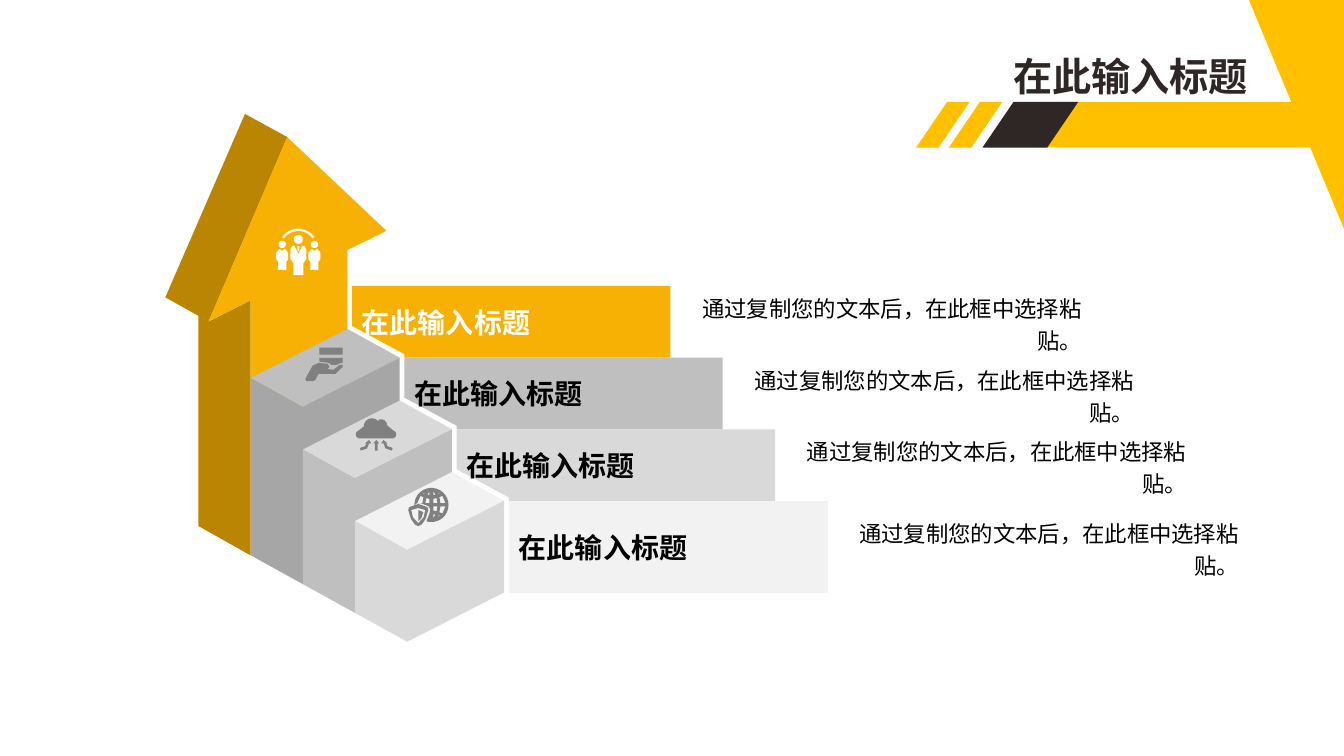
from dataclasses import dataclass
from math import cos, radians, sin

from pptx import Presentation
from pptx.dml.color import RGBColor
from pptx.enum.shapes import MSO_SHAPE
from pptx.enum.text import MSO_ANCHOR, PP_ALIGN
from pptx.util import Pt

RECT, SLANT = MSO_SHAPE.RECTANGLE, MSO_SHAPE.PARALLELOGRAM
WEDGE = MSO_SHAPE.RIGHT_TRIANGLE
MIDDLE, TOP = MSO_ANCHOR.MIDDLE, MSO_ANCHOR.TOP
LEFT, RIGHT = PP_ALIGN.LEFT, PP_ALIGN.RIGHT

INK = {"gold": "F6B104", "umber": "B98503", "amber": "FFC000", "coal": "2F2725",
       "dark": "A6A6A6", "mid": "BFBFBF", "light": "D9D9D9", "pale": "F2F2F2",
       "icon": "808080", "white": "FFFFFF", "black": "000000"}
FONT = "Arial"
TITLE = "在此输入标题"
BODY = "通过复制您的文本后，在此框中选择粘贴。"

Point = tuple[float, float]
Ring = list[Point]


@dataclass
class Banner:
    fill: str
    ink: str
    high: float


@dataclass
class Block:
    top: str
    side: str


@dataclass
class Part:
    kind: int
    left: float
    top: float
    wide: float
    high: float
    fill: str
    turn: float = 0


@dataclass
class Icon:
    left: float
    top: float
    fill: str
    rings: list[Ring]


def paint(shape, fill: str) -> None:
    shape.shadow.inherit = False
    shape.fill.solid()
    shape.fill.fore_color.rgb = RGBColor.from_string(INK[fill])
    shape.line.fill.background()


def draw(rings: list[Ring], fill: str, left: float = 0, top: float = 0):
    """Fill closed outlines; an inner outline cuts a hole."""
    pen = None
    for ring in rings:
        spots = [(Pt(left + x), Pt(top + y)) for x, y in ring]
        if pen is None:
            pen = slide.shapes.build_freeform(*spots[0])
        else:
            pen.move_to(*spots[0])
        pen.add_line_segments(spots[1:], close=True)
    shape = pen.convert_to_shape()
    paint(shape, fill)
    return shape


def write(shape, text: str, size: float, ink: str, align: int, bold: bool,
          anchor: int = MIDDLE, space: float = 1.0) -> None:
    frame = shape.text_frame
    frame.text = text
    frame.word_wrap = True
    frame.vertical_anchor = anchor
    para = frame.paragraphs[0]
    para.alignment = align
    para.line_spacing = space
    font = para.runs[0].font
    font.name, font.size, font.bold = FONT, Pt(size), bold
    font.color.rgb = RGBColor.from_string(INK[ink])


def label(left: float, top: float, wide: float, high: float):
    return slide.shapes.add_textbox(Pt(left), Pt(top), Pt(wide), Pt(high))


def arc(x: float, y: float, r: float, start: float, end: float) -> Ring:
    turns = [radians(start + (end - start) * i / 24) for i in range(25)]
    return [(x + r * cos(t), y + r * sin(t)) for t in turns]


def flip(ring: Ring, axis: float) -> Ring:
    return [(2 * axis - x, y) for x, y in reversed(ring)]


def drop(ring: Ring, axis: float) -> Ring:
    return [(x, 2 * axis - y) for x, y in ring]


def both(half: Ring, axis: float) -> Ring:
    return half + flip(half, axis)


deck = Presentation()
deck.slide_width, deck.slide_height = Pt(960), Pt(540)
slide = deck.slides.add_slide(deck.slide_layouts[6])

# Big arrow
draw([[(141.8, 375.8), (141.8, 225.4), (149, 229.7), (179, 214.6), (179, 396.7)]], "umber")
draw([[(175, 81.4), (205.2, 97.9), (149, 229.7), (118.1, 212.4)]], "umber")
draw([[(179, 396.7), (179, 214.6), (149, 229.7), (205.2, 97.9), (276.1, 164.9),
       (248.2, 178.6), (248.2, 361.4)]], "gold")

# Banners with their texts
STEP, RISE, WIDE = 37.4, 51.2, 227.5
BANNERS = [Banner("gold", "white", 51.2), Banner("mid", "black", 51.2),
           Banner("light", "black", 51.2), Banner("pale", "black", 65.5)]
for i, item in enumerate(BANNERS):
    x, y, high = 251.4 + STEP * i, 204.3 + RISE * i, item.high
    edge = [(x, y + 28.5), (x + STEP, y + 48.7), (x + STEP, y + high)]
    if i == len(BANNERS) - 1:
        edge = [(x, y + high)]
    shape = draw([[(x + WIDE, y + high), (x + WIDE, y), (x, y)] + edge], item.fill)
    write(shape, TITLE, 20, item.ink, LEFT, True)
    note = label(x + WIDE, y + high / 2 - 15.8, 301, 31.6)
    write(note, BODY, 16, "black", RIGHT, False, space=1.2)

# Stair blocks
BLOCKS = [Block("mid", "dark"), Block("light", "mid"), Block("pale", "light")]
for i, block in enumerate(BLOCKS):
    x, y, base = 179 + 37.3 * i, 270 + 51.1 * i, 417.2 + 20.6 * i
    front, end = x + 37.3, x + 106.5
    draw([[(x, y), (x + 69.2, y - 35), (end, y - 14.5), (front, y + 20.7)]], block.top)
    draw([[(x, base - 20.6), (x, y), (front, y + 20.7), (front, base)]], block.side)
    draw([[(front, base), (front, y + 20.7), (end, y - 14.5), (end, base - 35.2)]], block.side)

# Cloud icon
cloud = (arc(2.9, 11.5, 2.9, 90, 250) + arc(11.5, 5.8, 5.8, 180, 320)
         + arc(18, 5, 4.3, 250, 360) + arc(25.9, 11.5, 2.9, -70, 90))
shaft = both([(14.6, 15.5), (12.4, 18), (13.6, 18), (13.6, 23)], 14.6)
bend = [(9.4, 15.5), (11.2, 18), (9.4, 18), (8, 21.5), (3.6, 23), (2.9, 21.9),
        (3.6, 20.9), (6.5, 20), (7.6, 18), (6.5, 18)]

# Globe and shield icon
globe = arc(16.6, 12.2, 12.2, 180, 467) + [
    (15.1, 18.7), (15.8, 15.1), (14.4, 13), (8.6, 10.8), (6.5, 10.8)]
cells = [[(20.2, 7.2), (20.9, 10.8), (18, 10.8), (18, 7.9)],
         [(24.5, 5.8), (26.6, 10.8), (23, 10.8), (22.3, 6.5)],
         [(18, 2.2), (19.4, 5), (18, 5)], [(21.6, 3.6), (23, 4.3), (21.6, 4.3)]]
holes = cells + [flip(c, 16.6) for c in cells] + [drop(c, 12) for c in cells]
shield = [both([(7.2, 11.5), (13.7, 13.7), (14.4, 15.8), (12.5, 22), (9.8, 26), (7.2, 27.4)], 7.2),
          both([(7.2, 14.4), (12.2, 15.8), (11, 21), (7.2, 25.2)], 7.2),
          [(7.2, 15.8), (10.8, 17.3), (9.4, 21.6), (7.2, 23.8)]]

# Hand icon
hand = [[(10.8, 0), (27.4, 0), (27.4, 5), (10.8, 5)],
        [(10.8, 7.2), (27.4, 7.2), (27.4, 10.8), (25, 11.3), (23, 12.2),
         (19.4, 12.2), (17.3, 10.8), (10.8, 10)],
        [(10.1, 10.8), (16.6, 11.5), (18, 13.7), (16.6, 15.1), (10.8, 14.4), (20.9, 15.8),
         (25.2, 12.2), (27.4, 12.2), (27.4, 13.7), (22.3, 18.7), (10.1, 18.7), (7.9, 23),
         (6.5, 23.8), (1.4, 23.8), (0.7, 22.3), (5.8, 13)]]

# Team icon
mate = [arc(4.3, 11.2, 2.6, 0, 360),
        both([(4.3, 15.8), (2.2, 14.4), (0, 17.3), (0, 21.6), (1.4, 23.8), (1.4, 29.5)], 4.3)]
chief = [arc(15.8, 7.6, 3.2, 0, 360),
         both([(15.8, 18), (13, 12.2), (11.5, 12.2), (10.1, 15.1), (10.1, 21.6),
               (12.2, 24.5), (12.2, 33.1)], 15.8),
         both([(15, 12.2), (15.3, 15.8)], 15.8)]
arch = arc(15.8, 13.9, 13.9, -146, -34) + arc(15.8, 13.9, 12.3, -34, -146)

ICONS = [Icon(254.2, 298.8, "icon", [cloud, shaft, bend, flip(bend, 14.6)]),
         Icon(291.6, 348.5, "icon", [globe] + holes + shield),
         Icon(217.4, 248.4, "icon", hand),
         Icon(197.3, 163.4, "white", mate + [flip(m, 15.8) for m in mate] + chief + [arch])]
for icon in ICONS:
    draw(icon.rings, icon.fill, icon.left, icon.top)

# Header band and title
PARTS = [Part(WEDGE, 892.1, 0, 67.9, 163.4, "amber", 180),
         Part(RECT, 741.6, 72.8, 202.3, 32.6, "amber"),
         Part(SLANT, 701.8, 72.8, 68.4, 32.6, "coal"),
         Part(SLANT, 677.8, 72.8, 38.2, 32.6, "amber"),
         Part(SLANT, 654.4, 72.8, 38.2, 32.6, "amber")]
for part in PARTS:
    shape = slide.shapes.add_shape(part.kind, Pt(part.left), Pt(part.top),
                                   Pt(part.wide), Pt(part.high))
    paint(shape, part.fill)
    shape.rotation = part.turn
    if part.kind == SLANT:
        shape.adjustments[0] = 0.68
write(label(710.6, 33.8, 187.9, 41), TITLE, 28, "coal", RIGHT, True, TOP)

deck.save("out.pptx")
